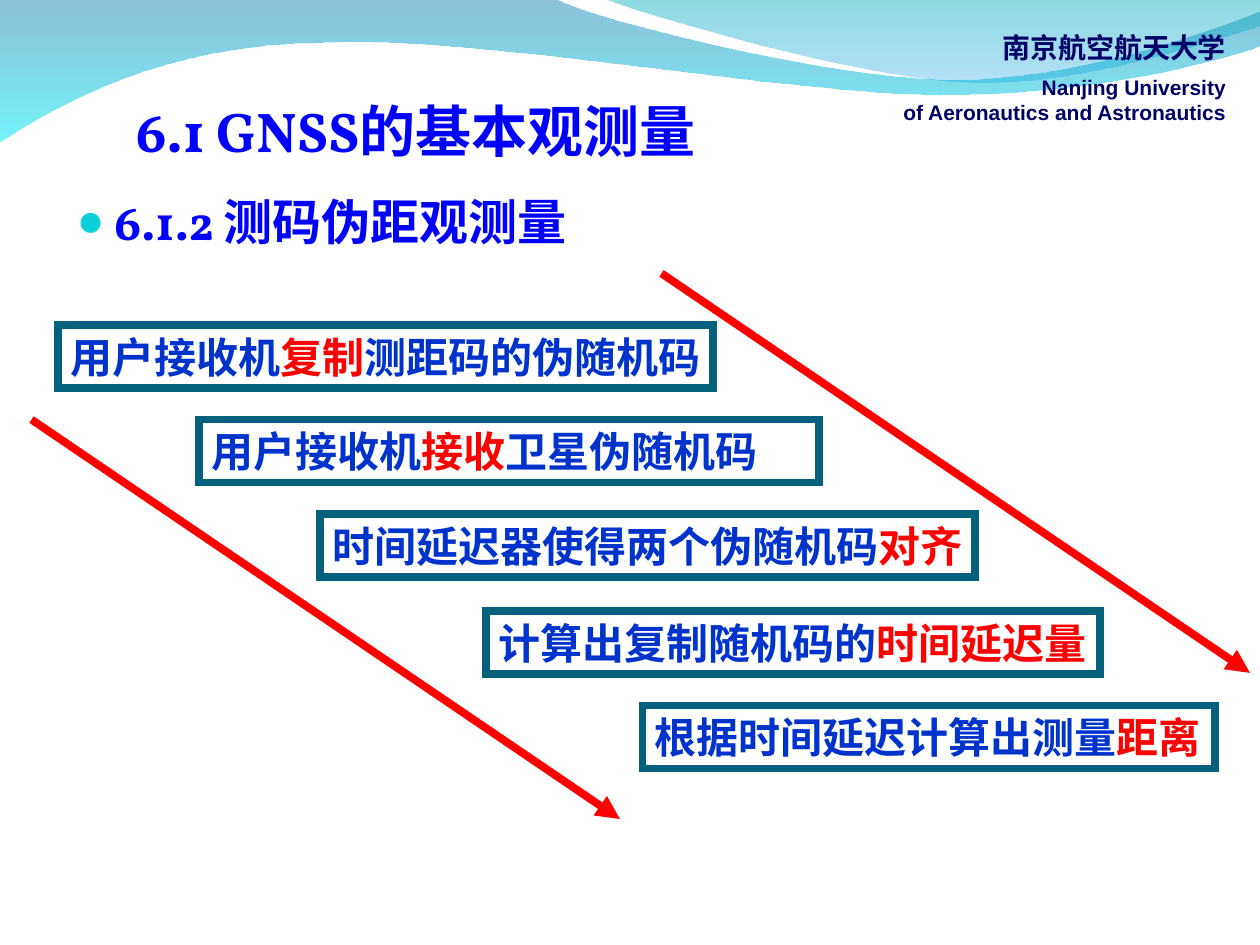
from lxml import etree
from pptx import Presentation
from pptx.dml.color import RGBColor
from pptx.enum.shapes import MSO_CONNECTOR, MSO_SHAPE
from pptx.enum.text import MSO_ANCHOR, MSO_AUTO_SIZE, PP_ALIGN
from pptx.oxml.ns import qn
from pptx.util import Inches, Pt

NAVY = RGBColor(0x00, 0x00, 0x66)
BLUE = RGBColor(0x00, 0x00, 0xFF)
STEP_BLUE = RGBColor(0x00, 0x33, 0xCC)
RED = RGBColor(0xFF, 0x00, 0x00)
TEAL = RGBColor(0x04, 0x61, 0x7B)
BULLET_CYAN = RGBColor(0x0B, 0xD0, 0xD9)
WAVE_BLUE = RGBColor(0x00, 0x79, 0xAF)
WAVE_CYAN = RGBColor(0x00, 0xEB, 0xF8)
CREST_TEAL = RGBColor(0x00, 0xAD, 0xB6)
CREST_BLUE = RGBColor(0x00, 0x9B, 0xE5)
LEFT, RIGHT = PP_ALIGN.LEFT, PP_ALIGN.RIGHT
TOP = MSO_ANCHOR.TOP
FIT_TEXT = MSO_AUTO_SIZE.SHAPE_TO_FIT_TEXT
NO_FIT = MSO_AUTO_SIZE.NONE
RECTANGLE = MSO_SHAPE.RECTANGLE
STRAIGHT = MSO_CONNECTOR.STRAIGHT


def write_text(frame, runs, size, font, align=LEFT, wrap=True, fit=NO_FIT, new=False, after=0):
    frame.word_wrap = wrap
    frame.auto_size = fit
    frame.vertical_anchor = TOP
    paragraph = frame.add_paragraph() if new else frame.paragraphs[0]
    paragraph.alignment = align
    paragraph.space_after = Pt(after)
    for words, color in runs:
        run = paragraph.add_run()
        run.text = words
        run.font.size = Pt(size)
        run.font.name = font
        run.font.bold = True
        run.font.color.rgb = color
    return paragraph


prs = Presentation()
prs.slide_width = Inches(10)
prs.slide_height = Inches(7.5)
slide = prs.slides.add_slide(prs.slide_layouts[6])
shapes = slide.shapes

waves = [
    ((0, -0.01),
     [[(4.4, -0.01)],
      [(4.76, 0.17), (6.64, 0.63), (7.58, 0.63)],
      [(8.53, 0.63), (9.58, 0.26), (10, 0.09)],
      [(10.01, 0.36)],
      [(9.83, 0.44), (8.7, 0.76), (7.46, 0.75)],
      [(6.22, 0.75), (3.82, 0.28), (2.57, 0.34)],
      [(1.29, 0.35), (0.46, 0.83), (-0.01, 1.13)]],
     [(WAVE_BLUE, 45), (WAVE_CYAN, 55)]),
    ((4.79, -0.01),
     [[(5.09, 0.11), (6.82, 0.62), (7.69, 0.65)],
      [(8.56, 0.69), (9.61, 0.32), (10, 0.21)],
      [(10, 0)]],
     [(CREST_TEAL, 45), (CREST_BLUE, 30)]),
]
for start, segments, stops in waves:
    builder = shapes.build_freeform(start[0] * 100, start[1] * 100, scale=Inches(0.01))
    builder.add_line_segments([(x * 100, y * 100) for segment in segments for x, y in segment])
    wave = builder.convert_to_shape()
    lines = iter(list(wave.element.spPr.iter(qn("a:lnTo"))))
    for segment in segments:
        first = next(lines)
        if len(segment) == 3:
            first.tag = qn("a:cubicBezTo")
            for _ in range(2):
                control = next(lines)
                first.append(control[0])
                control.getparent().remove(control)
    wave.shadow.inherit = False
    wave.line.fill.background()
    wave.fill.gradient()
    wave.fill.gradient_angle = 270
    for stop, (color, _) in zip(wave.fill.gradient_stops, stops):
        stop.color.rgb = color
    for tint, (_, opacity) in zip(wave.element.spPr.iter(qn("a:srgbClr")), stops):
        etree.SubElement(tint, qn("a:alpha"), val=str(opacity * 1000))

university = shapes.add_textbox(Inches(7.06), Inches(0.19), Inches(2.77), Inches(0.85)).text_frame
for i, (name, size, after) in enumerate([
    ("南京航空航天大学", 16, 6),
    ("Nanjing University", 12, 0),
    ("of Aeronautics and Astronautics", 12, 0),
]):
    write_text(university, [(name, NAVY)], size, "Arial", align=RIGHT, wrap=False,
               fit=FIT_TEXT, new=i > 0, after=after)

title = shapes.add_textbox(Inches(0.98), Inches(0.72), Inches(8.28), Inches(0.87)).text_frame
write_text(title, [("6.1 GNSS的基本观测量", BLUE)], 32, "Vollkorn")

section = shapes.add_textbox(Inches(0.51), Inches(1.47), Inches(4.85), Inches(0.67)).text_frame
heading = write_text(section, [("6.1.2 测码伪距观测量", BLUE)], 28, "Vollkorn")
properties = heading._p.get_or_add_pPr()
properties.set("marL", str(Inches(0.3)))
properties.set("indent", str(-Inches(0.3)))
bullet_color = etree.SubElement(properties, qn("a:buClr"))
etree.SubElement(bullet_color, qn("a:srgbClr"), val=str(BULLET_CYAN))
etree.SubElement(properties, qn("a:buSzPct"), val="95000")
etree.SubElement(properties, qn("a:buFont"), typeface="Arial")
etree.SubElement(properties, qn("a:buChar"), char="●")

steps = [
    (0.46, 2.58, 5.2, False, [("用户接收机", STEP_BLUE), ("复制", RED), ("测距码的伪随机码", STEP_BLUE)]),
    (1.58, 3.33, 4.92, True, [("用户接收机", STEP_BLUE), ("接收", RED), ("卫星伪随机码", STEP_BLUE)]),
    (2.54, 4.08, 5.2, False, [("时间延迟器使得两个伪随机码", STEP_BLUE), ("对齐", RED)]),
    (3.86, 4.85, 4.87, False, [("计算出复制随机码的", STEP_BLUE), ("时间延迟量", RED)]),
    (5.1, 5.6, 4.54, False, [("根据时间延迟计算出测量", STEP_BLUE), ("距离", RED)]),
]
for left, top, width, wrap, runs in steps:
    step_box = shapes.add_shape(RECTANGLE, Inches(left), Inches(top), Inches(width), Inches(0.5))
    step_box.shadow.inherit = False
    step_box.fill.background()
    step_box.line.color.rgb = TEAL
    step_box.line.width = Pt(4.5)
    etree.SubElement(step_box.line._get_or_add_ln(), qn("a:miter"), lim="800000")
    write_text(step_box.text_frame, runs, 24, "Times New Roman", wrap=wrap, fit=FIT_TEXT)

for x, y in [(0.25, 3.33), (5.25, 2.17)]:
    arrow = shapes.add_connector(STRAIGHT, Inches(x), Inches(y), Inches(x + 4.67), Inches(y + 3.17))
    arrow.line.color.rgb = RED
    arrow.line.width = Pt(4.5)
    etree.SubElement(arrow.line._get_or_add_ln(), qn("a:tailEnd"), type="triangle")
    etree.SubElement(arrow._element.spPr, qn("a:effectLst"))

prs.save("out.pptx")
